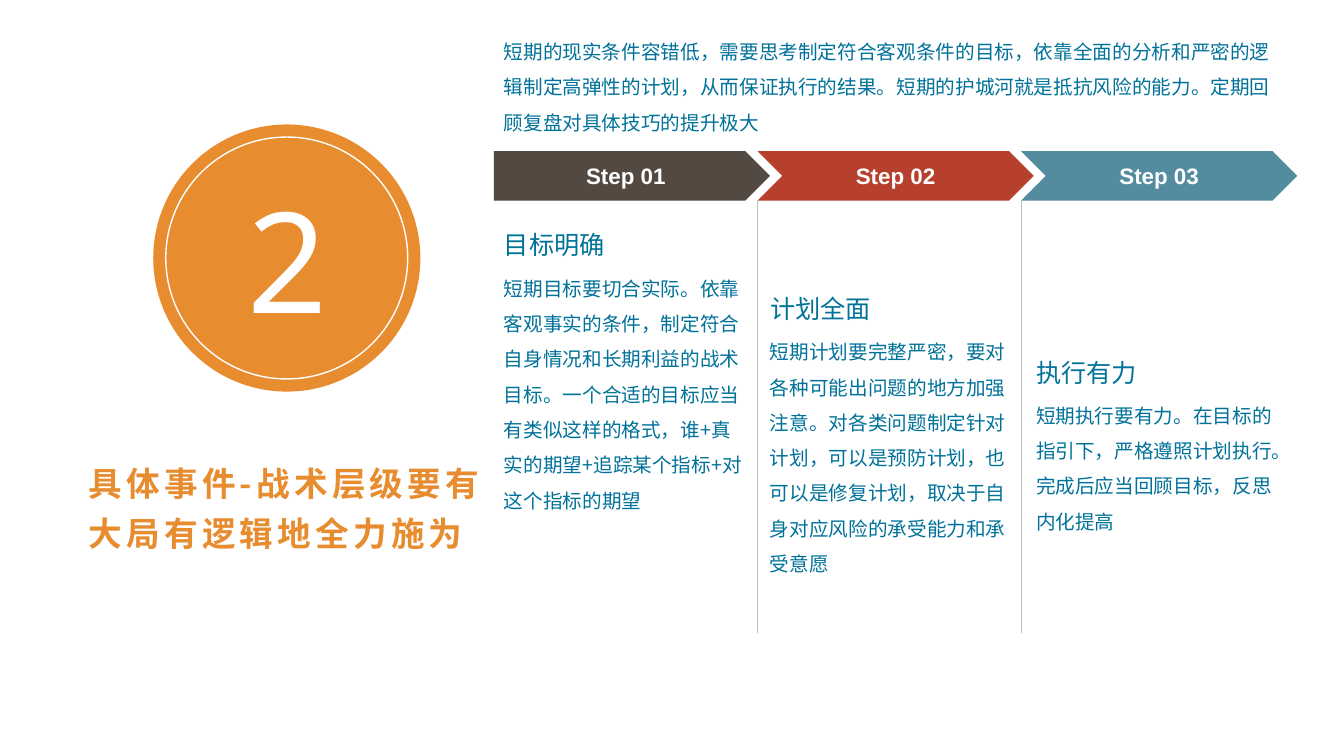
from dataclasses import dataclass

from lxml import etree
from pptx import Presentation
from pptx import util as u
from pptx.dml.color import RGBColor
from pptx.enum import shapes, text
from pptx.oxml import ns

CELL = 0.1  # inches per grid column and row
WIDE, HIGH = 133.33, 75


@dataclass(frozen=True)
class Theme:
    """Colours, fonts and type sizes."""
    accent: str = "E88C30"
    ink: str = "00729A"
    white: str = "FFFFFF"
    rule: str = "BFBFBF"
    steps: tuple = ("534941", "B6402D", "538C9F")
    sans: str = "Noto Sans CJK SC"
    digit: str = "Noto Sans"
    label: str = "Arial"
    huge: int = 100
    title: int = 24
    head: int = 18
    tag: int = 16
    body: int = 14


def grid(*cells):
    """Turn grid cells into lengths."""
    return [u.Inches(cell * CELL) for cell in cells]


def write(shape, words, size, color, font, bold=False, space=None, lead=None,
          align=text.PP_ALIGN.LEFT, anchor=text.MSO_ANCHOR.TOP,
          wrap=True, grow=True, inset=None):
    """Put formatted text into a shape."""
    frame = shape.text_frame
    frame.word_wrap = wrap
    frame.vertical_anchor = anchor
    fit = text.MSO_AUTO_SIZE
    frame.auto_size = fit.SHAPE_TO_FIT_TEXT if grow else fit.NONE
    if inset is not None:
        frame.margin_left = frame.margin_right = inset
        frame.margin_top = frame.margin_bottom = inset
    para = frame.paragraphs[0]
    para.alignment = align
    if lead:
        para.line_spacing = lead
    run = para.add_run()
    run.text = words
    run.font.size = u.Pt(size)
    run.font.bold = bold
    run.font.name = font
    run.font.color.rgb = RGBColor.from_string(color)
    props = run.font._element
    if space:
        props.set("spc", str(space * 100))
    latin = props.find(ns.qn("a:latin"))
    east = etree.Element(ns.qn("a:ea"), typeface=font)
    latin.addnext(east)


class Deck:
    """Hold the style and the current slide."""

    def __init__(self, theme):
        """Open a slide with a title placeholder."""
        self.theme = theme
        self.file = Presentation()
        self.file.slide_width, self.file.slide_height = grid(WIDE, HIGH)
        self.slide = self.file.slides.add_slide(self.file.slide_layouts[5])
        self.shapes = self.slide.shapes

    def title(self, words, box, **form):
        """Move and fill the title placeholder."""
        hold = self.shapes.title
        hold.left, hold.top, hold.width, hold.height = grid(*box)
        write(hold, words, **form)

    def text(self, words, box, **form):
        """Add a text box."""
        write(self.shapes.add_textbox(*grid(*box)), words, **form)

    def shape(self, kind, box, fill, line=None):
        """Add a preset shape, outlined if a line colour is given."""
        item = self.shapes.add_shape(kind, *grid(*box))
        item.shadow.inherit = False
        item.fill.solid()
        item.fill.fore_color.rgb = RGBColor.from_string(fill)
        if line:
            item.line.color.rgb = RGBColor.from_string(line)
            item.line.width = u.Pt(1)
        else:
            item.line.fill.background()
        return item

    def rule(self, left, top, end):
        """Add a thin upright line."""
        line = self.shapes.add_connector(
            shapes.MSO_CONNECTOR.STRAIGHT, *grid(left, top, left, end))
        line.line.color.rgb = RGBColor.from_string(self.theme.rule)
        line.line.width = u.Pt(0.25)
        etree.SubElement(line._element.spPr, ns.qn("a:effectLst"))


STEPS = [
    ("目标明确", 25.7,
     "短期目标要切合实际。依靠客观事实的条件,制定符合自身情况和长期利益的战术"
     "目标。一个合适的目标应当有类似这样的格式,谁+真实的期望+追踪某个指标"
     "+对这个指标的期望"),
    ("计划全面", 25.7,
     "短期计划要完整严密,要对各种可能出问题的地方加强注意。对各类问题制定针对"
     "计划,可以是预防计划,也可以是修复计划,取决于自身对应风险的承受能力和承"
     "受意愿"),
    ("执行有力", 15.1,
     "短期执行要有力。在目标的指引下,严格遵照计划执行。完成后应当回顾目标,反思"
     "内化提高"),
]
INTRO = ("短期的现实条件容错低,需要思考制定符合客观条件的目标,依靠全面的分析和严密的逻"
         "辑制定高弹性的计划,从而保证执行的结果。短期的护城河就是抵抗风险的能力。定期回"
         "顾复盘对具体技巧的提升极大")


def full(words):
    """Use the full-width comma of Chinese text."""
    return words.replace(",", "\uff0c")


def main():
    """Build the slide."""
    look = Theme()
    deck = Deck(look)
    kind = shapes.MSO_SHAPE
    mid, center = text.MSO_ANCHOR.MIDDLE, text.PP_ALIGN.CENTER
    prose = dict(size=look.body, color=look.ink, font=look.sans, lead=1.5)

    deck.title("具体事件-战术层级要有大局有逻辑地全力施为", (7.8, 44.5, 41.4, 10.9),
               size=look.title, color=look.accent, font=look.sans,
               bold=True, space=3, lead=1.23)

    mid_x, mid_y = 28.45, 25.6
    for wide, line in ((26.5, None), (24, look.white)):
        deck.shape(kind.OVAL, (mid_x - wide / 2, mid_y - wide / 2, wide, wide),
                   look.accent, line)
    deck.text("2", (23.6, 16.7, 9.8, 17.8), size=look.huge, color=look.white,
              font=look.digit, align=center, wrap=False)

    left, top, pitch, tall = 49, 15, 26.15, 4.9
    shift, drop = 26.4, 6.3  # text columns step right and down
    deck.text(full(INTRO), (left, 2.3, 79.7, 11.6), **prose)
    for i, (head, high, body) in enumerate(STEPS):
        x = left + i * pitch
        arrow = deck.shape(kind.CHEVRON if i else kind.PENTAGON,
                           (x, top, 27.4, tall), look.steps[i])
        write(arrow, f"Step {i + 1:02}", look.tag, look.white, look.label,
              bold=True, align=center, anchor=mid, wrap=False, grow=False)
        if i:
            deck.rule(x, top + tall, 62.8)
        x, y = left + i * shift, 22.8 + i * drop
        deck.text(head, (x + 1, y, 22, 3), size=look.head, color=look.ink,
                  font=look.sans, anchor=mid, inset=0)
        deck.text(full(body), (x, y + 3, 26.2, high), **prose)

    deck.file.save("out.pptx")


main()
